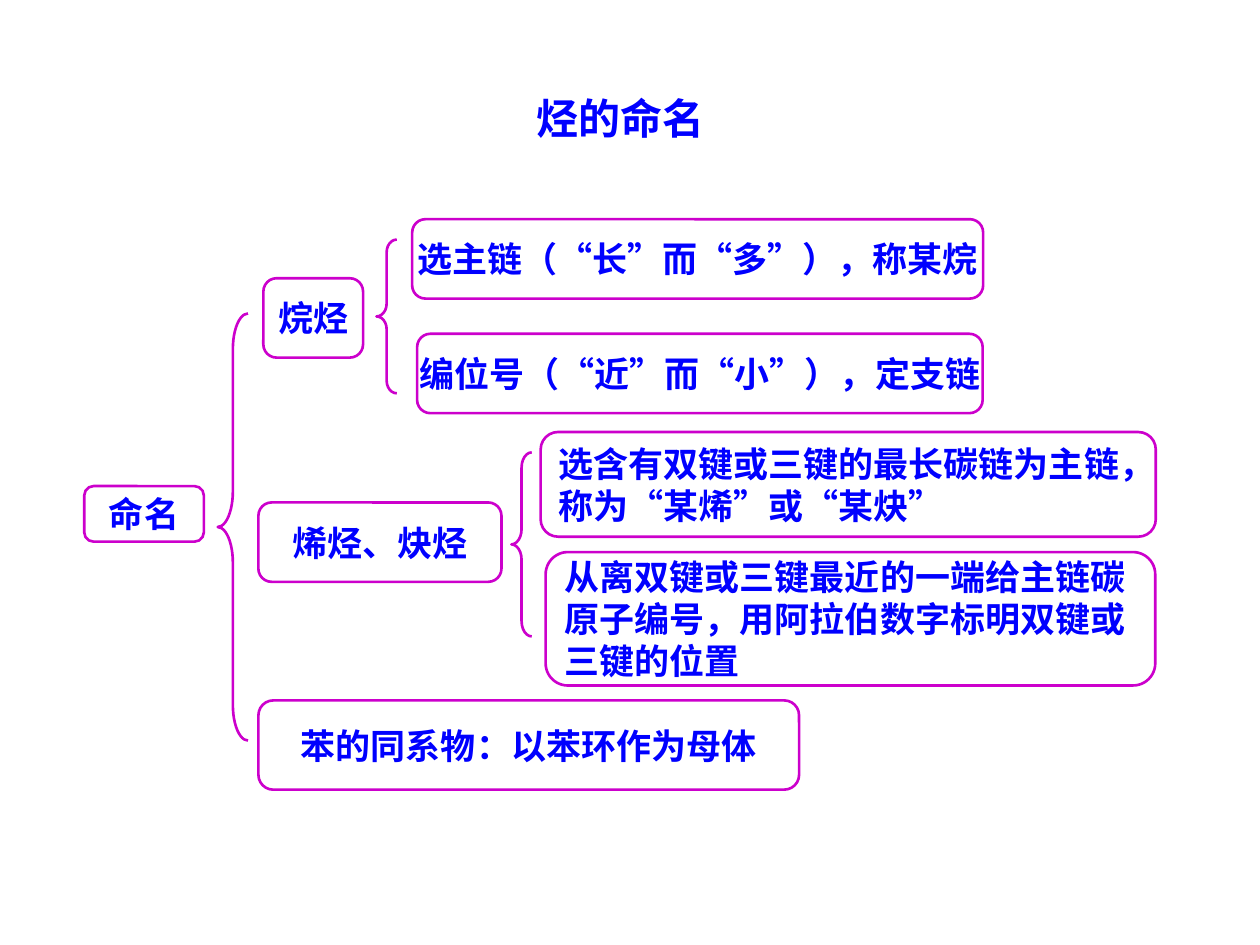
from dataclasses import dataclass

from pptx import Presentation
from pptx.dml.color import RGBColor
from pptx.enum.shapes import MSO_SHAPE as Shape
from pptx.enum.text import MSO_ANCHOR as Anchor, MSO_AUTO_SIZE as AutoSize, PP_ALIGN as Align
from pptx.util import Cm, Pt

BLUE = RGBColor(0x00, 0x00, 0xFF)
MAGENTA = RGBColor(0xCC, 0x00, 0xCC)
FONT = "Times New Roman"
LINE_WIDTH = Pt(1.5)
TITLE_ONLY = 5


@dataclass(frozen=True)
class Topic:
    """A rounded box; lengths in centimetres."""
    left: float
    top: float
    width: float
    height: float
    lines: tuple[str, ...]
    align: Align = Align.CENTER


@dataclass(frozen=True)
class Brace:
    """A left brace; lengths in centimetres."""
    left: float
    top: float
    width: float
    height: float


TOPICS = (
    Topic(1.7, 9.8, 2.41, 1.12, ("命名",)),
    Topic(5.31, 5.61, 2.01, 1.6, ("烷烃",)),
    Topic(5.21, 14.12, 10.9, 1.8, ("苯的同系物：以苯环作为母体",)),
    Topic(5.21, 10.13, 4.9, 1.6, ("烯烃、炔烃",)),
    Topic(8.31, 4.42, 11.51, 1.6, ("选主链（“长”而“多”），称某烷",)),
    Topic(8.41, 6.73, 11.4, 1.6, ("编位号（“近”而“小”），定支链",)),
    Topic(10.9, 8.71, 12.4, 2.11,
          ("选含有双键或三键的最长碳链为主链，", "称为“某烯”或“某炔”"), Align.LEFT),
    Topic(11, 11.13, 12.29, 2.69,
          ("从离双键或三键最近的一端给主链碳", "原子编号，用阿拉伯数字标明双键或", "三键的位置"),
          Align.LEFT),
)
BRACES = (
    Brace(4.39, 6.32, 0.61, 8.61),
    Brace(7.59, 4.83, 0.41, 3.1),
    Brace(10.31, 9.12, 0.41, 3.71),
)


def write_lines(frame, lines: tuple[str, ...], size: int, align: Align) -> None:
    for index, line in enumerate(lines):
        paragraph = frame.paragraphs[0] if index == 0 else frame.add_paragraph()
        paragraph.alignment = align
        run = paragraph.add_run()
        run.text = line
        run.font.name = FONT
        run.font.size = Pt(size)
        run.font.bold = True
        run.font.color.rgb = BLUE


def add_outline(slide, kind: Shape, place: Topic | Brace):
    """Add an unfilled magenta shape at the given place."""
    shape = slide.shapes.add_shape(
        kind, Cm(place.left), Cm(place.top), Cm(place.width), Cm(place.height))
    shape.shadow.inherit = False
    shape.fill.background()
    shape.line.color.rgb = MAGENTA
    shape.line.width = LINE_WIDTH
    return shape


def add_topic(slide, topic: Topic) -> None:
    frame = add_outline(slide, Shape.ROUNDED_RECTANGLE, topic).text_frame
    frame.word_wrap = False
    frame.vertical_anchor = Anchor.MIDDLE
    write_lines(frame, topic.lines, 20, topic.align)


def add_brace(slide, brace: Brace) -> None:
    """Add a brace whose four arcs are each a twelfth of its height."""
    shape = add_outline(slide, Shape.LEFT_BRACE, brace)
    shape.adjustments[0] = brace.height / 12 / brace.width


def set_title(slide) -> None:
    title = slide.shapes.title
    title.left, title.top, title.width, title.height = Cm(2.49), Cm(1.73), Cm(20.02), Cm(1.27)
    frame = title.text_frame
    frame.auto_size = AutoSize.NONE
    frame.vertical_anchor = Anchor.TOP
    write_lines(frame, ("烃的命名",), 24, Align.CENTER)


def main() -> None:
    deck = Presentation()
    deck.slide_width, deck.slide_height = Cm(25.4), Cm(19.05)
    slide = deck.slides.add_slide(deck.slide_layouts[TITLE_ONLY])
    set_title(slide)
    for topic in TOPICS:
        add_topic(slide, topic)
    for brace in BRACES:
        add_brace(slide, brace)
    deck.save("out.pptx")


if __name__ == "__main__":
    main()
